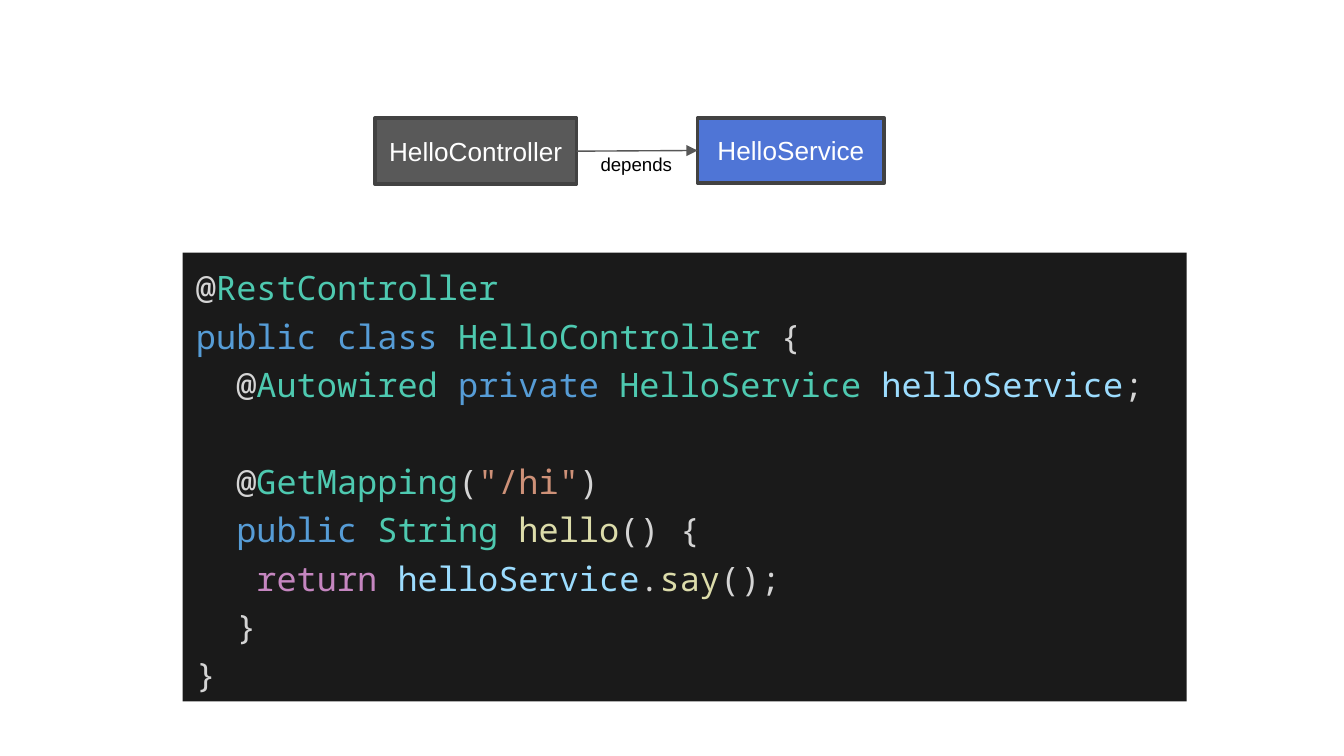
from dataclasses import dataclass

from lxml import etree
from pptx import Presentation
from pptx.dml.color import RGBColor
from pptx.enum.shapes import MSO_CONNECTOR, MSO_SHAPE
from pptx.enum.text import MSO_ANCHOR, MSO_AUTO_SIZE, PP_ALIGN
from pptx.oxml.ns import qn
from pptx.util import Inches, Pt

RECTANGLE = MSO_SHAPE.RECTANGLE
STRAIGHT = MSO_CONNECTOR.STRAIGHT
LEFT, CENTER = PP_ALIGN.LEFT, PP_ALIGN.CENTER
TOP, MIDDLE = MSO_ANCHOR.TOP, MSO_ANCHOR.MIDDLE
GROW = MSO_AUTO_SIZE.SHAPE_TO_FIT_TEXT
BLANK_LAYOUT = 6
LEFT_SIDE, RIGHT_SIDE = 1, 3


@dataclass(frozen=True)
class Theme:
    font: str = "Arial"
    code_font: str = "Noto Sans Mono"
    code_size: float = 18
    box_size: float = 14
    label_size: float = 10
    code_spacing: float = 1.2
    border_width: float = 2
    arrow_width: float = 0.75
    panel: str = "1A1A1A"
    controller: str = "595959"
    service: str = "4F75D6"
    border: str = "424242"
    arrow: str = "575757"
    box_text: str = "FFFFFF"
    label: str = "000000"
    plain: str = "D4D4D4"
    type_name: str = "4EC9B0"
    keyword: str = "569CD6"
    variable: str = "9CDCFE"
    string: str = "CE9178"
    method: str = "DCDCAA"
    control: str = "C586C0"


# Each line holds (text, theme colour) spans; a vertical tab is a line break.
CODE = [
    [("@", "plain"), ("RestController", "type_name")],
    [("public class ", "keyword"), ("HelloController", "type_name"), (" {", "plain")],
    [("  @", "plain"), ("Autowired ", "type_name"), ("private ", "keyword"),
     ("HelloService ", "type_name"), ("helloService", "variable"), (";", "plain")],
    [("  ", "plain"), ("\v", "plain"), ("  @", "plain"), ("GetMapping", "type_name"),
     ("(", "plain"), ('"/hi"', "string"), (")", "plain")],
    [("  public ", "keyword"), ("String ", "type_name"), ("hello", "method"),
     ("() {", "plain")],
    [("   return ", "control"), ("helloService", "variable"), (".", "plain"),
     ("say", "method"), ("();", "plain")],
    [("  }", "plain")],
    [("}", "plain")],
]


class SlideBuilder:
    def __init__(self, page, theme):
        self.page = page
        self.theme = theme

    def style_font(self, font, name, size, color):
        font.name = name
        font.size = Pt(size)
        font.color.rgb = RGBColor.from_string(color)

    def rectangle(self, left, top, width, height, fill):
        box = self.page.shapes.add_shape(
            RECTANGLE, Inches(left), Inches(top), Inches(width), Inches(height))
        box.shadow.inherit = False
        box.fill.solid()
        box.fill.fore_color.rgb = RGBColor.from_string(fill)
        box.line.fill.background()
        return box

    def class_box(self, name, left, top, width, height, fill):
        box = self.rectangle(left, top, width, height, fill)
        box.line.color.rgb = RGBColor.from_string(self.theme.border)
        box.line.width = Pt(self.theme.border_width)
        frame = box.text_frame
        frame.text = name
        frame.vertical_anchor = MIDDLE
        para = frame.paragraphs[0]
        para.alignment = CENTER
        self.style_font(para.runs[0].font, self.theme.font,
                        self.theme.box_size, self.theme.box_text)
        return box

    def code_panel(self, lines, left, top, width, height):
        box = self.rectangle(left, top, width, height, self.theme.panel)
        frame = box.text_frame
        frame.word_wrap = True
        frame.auto_size = GROW
        frame.vertical_anchor = TOP
        for index, line in enumerate(lines):
            para = frame.add_paragraph() if index else frame.paragraphs[0]
            para.alignment = LEFT
            para.line_spacing = self.theme.code_spacing
            for text, role in line:
                if text == "\v":
                    para.add_line_break()
                    continue
                span = para.add_run()
                span.text = text
                self.style_font(span.font, self.theme.code_font,
                                self.theme.code_size, getattr(self.theme, role))

    def arrow(self, source, target):
        """Join the right side of source to the left side of target."""
        connector = self.page.shapes.add_connector(STRAIGHT, 0, 0, 0, 0)
        connector.begin_connect(source, RIGHT_SIDE)
        connector.end_connect(target, LEFT_SIDE)
        connector.line.color.rgb = RGBColor.from_string(self.theme.arrow)
        connector.line.width = Pt(self.theme.arrow_width)
        properties = connector._element.spPr
        etree.SubElement(properties.find(qn("a:ln")), qn("a:tailEnd"),
                         type="triangle", w="med", len="med")
        etree.SubElement(properties, qn("a:effectLst"))

    def label(self, text, left, top, width, height):
        box = self.page.shapes.add_textbox(
            Inches(left), Inches(top), Inches(width), Inches(height))
        frame = box.text_frame
        frame.text = text
        frame.word_wrap = False
        frame.auto_size = GROW
        self.style_font(frame.paragraphs[0].runs[0].font, self.theme.font,
                        self.theme.label_size, self.theme.label)


def main():
    deck = Presentation()
    deck.slide_width = Inches(10)
    deck.slide_height = deck.slide_width * 9 // 16
    theme = Theme()
    page = deck.slides.add_slide(deck.slide_layouts[BLANK_LAYOUT])
    builder = SlideBuilder(page, theme)

    builder.code_panel(CODE, 1.36, 1.88, 7.47, 3.34)
    controller = builder.class_box(
        "HelloController", 2.79, 0.88, 1.5, 0.49, theme.controller)
    service = builder.class_box(
        "HelloService", 5.19, 0.88, 1.39, 0.48, theme.service)
    builder.arrow(controller, service)
    builder.label("depends", 4.37, 1.09, 0.73, 0.27)

    deck.save("out.pptx")


if __name__ == "__main__":
    main()
